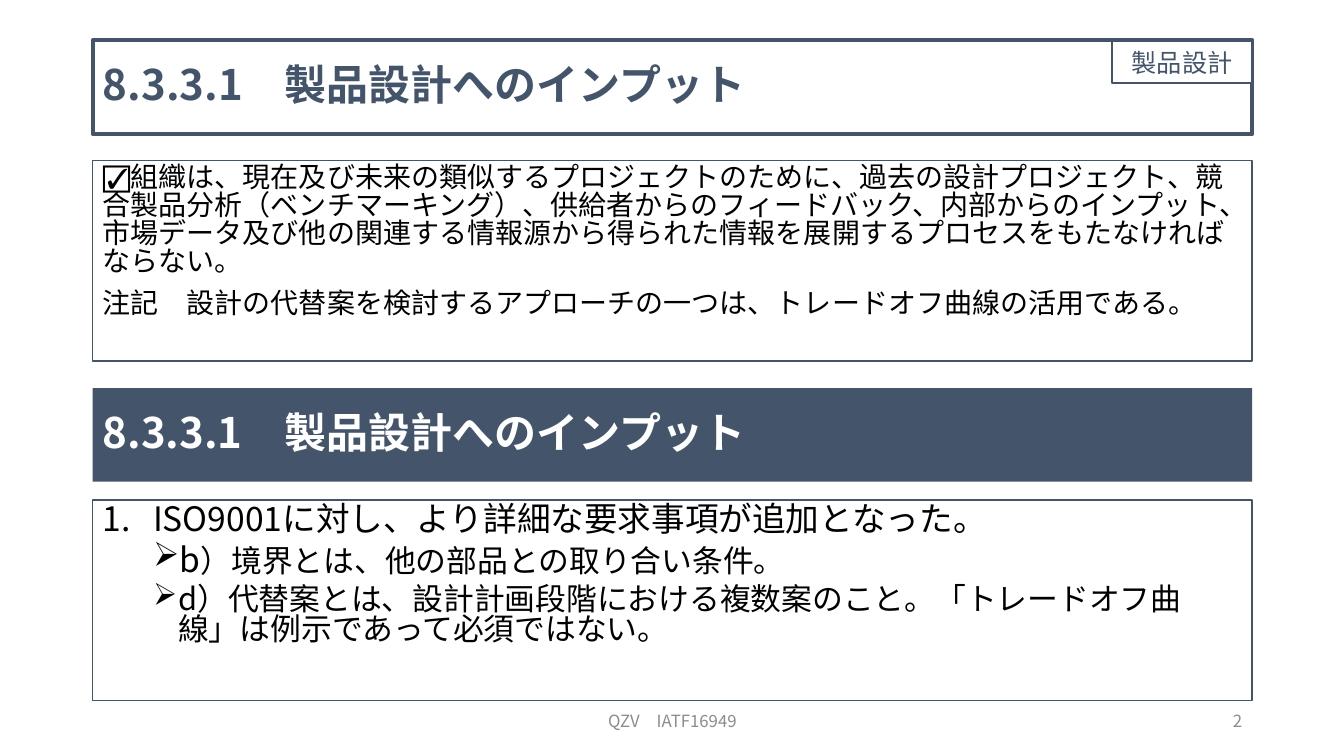
from lxml import etree
from pptx import Presentation
from pptx.dml.color import RGBColor
from pptx.enum.shapes import MSO_SHAPE
from pptx.enum.text import MSO_ANCHOR, MSO_AUTO_SIZE, PP_ALIGN
from pptx.oxml.ns import qn
from pptx.util import Inches, Pt

FONT = "Noto Sans CJK JP"
NAVY = RGBColor(0x44, 0x54, 0x6A)
WHITE = RGBColor(0xFF, 0xFF, 0xFF)
BLACK = RGBColor(0, 0, 0)
GRAY = RGBColor(0x8C, 0x8C, 0x8C)

HEAD = "8.3.3.1\u3000製品設計へのインプット".replace("\u3000", "　")
TAG = "製品設計"
CLAUSE = [
    "☑組織は、現在及び未来の類似するプロジェクトのために、過去の設計プロジェクト、"
    "競合製品分析（ベンチマーキング）、供給者からのフィードバック、内部からのインプット、"
    "市場データ及び他の関連する情報源から得られた情報を展開するプロセスをもたなければならない。",
    "注記　設計の代替案を検討するアプローチの一つは、トレードオフ曲線の活用である。",
]
POINTS = [
    (0, [("ISO9001に対し、より詳細な要求事項が追加となった。", 24)]),
    (1, [("b", 24), ("）境界とは、他の部品との取り合い条件。", 22)]),
    (1, [("d）代替案とは、設計計画段階における複数案のこと。"
          "「トレードオフ曲線」は例示であって必須ではない。", 22)]),
]
LEVELS = [
    (0.5, -0.5, 10, "buAutoNum", {"type": "arabicPeriod"}),
    (0.75, -0.25, 5, "buChar", {"char": "➢"}),
]
FOOT = [
    ("QZV　IATF16949", 4.42, 4.5, PP_ALIGN.CENTER),
    ("2", 9.42, 3, PP_ALIGN.RIGHT),
]

LEFT, WIDTH = 0.92, 11.5
HEAD_H, BODY_H = 0.93, 1.99
TIGHT = 0.83


def style(run, size, color, bold=False):
    """Set the font of one run, for Latin and Japanese text alike."""
    font = run.font
    font.name, font.size, font.bold = FONT, Pt(size), bold
    font.color.rgb = color
    east = etree.SubElement(run._r.get_or_add_rPr(), qn("a:ea"))
    east.set("typeface", FONT)


def place(shape, left, top, width, height):
    """Put a shape at a place given in inches."""
    shape.left, shape.top = Inches(left), Inches(top)
    shape.width, shape.height = Inches(width), Inches(height)


def paint(shape, fill, line, weight):
    """Set fill and outline, where None means none."""
    if fill is None:
        shape.fill.background()
    else:
        shape.fill.solid()
        shape.fill.fore_color.rgb = fill
    if line is None:
        shape.line.fill.background()
    else:
        shape.line.color.rgb = line
        shape.line.width = Pt(weight)


def add_box(slide, area, fill=None, line=None, weight=1):
    """Add a plain rectangle with its text at the top."""
    box = slide.shapes.add_shape(MSO_SHAPE.RECTANGLE, *map(Inches, area))
    box.shadow.inherit = False
    paint(box, fill, line, weight)
    box.text_frame.word_wrap = True
    box.text_frame.vertical_anchor = MSO_ANCHOR.TOP
    return box


def write(shape, text, size, color, align=PP_ALIGN.LEFT, bold=False, space=1.0):
    """Write one centred-in-height line of text into a shape."""
    frame = shape.text_frame
    frame.text = text
    frame.word_wrap = True
    frame.auto_size = MSO_AUTO_SIZE.NONE
    frame.vertical_anchor = MSO_ANCHOR.MIDDLE
    para = frame.paragraphs[0]
    para.alignment = align
    para.line_spacing = space
    style(para.runs[0], size, color, bold)


def add_para(frame, index, before):
    """Return a new left-aligned paragraph of a body box."""
    para = frame.add_paragraph() if index else frame.paragraphs[0]
    para.alignment = PP_ALIGN.LEFT
    para.line_spacing = TIGHT
    para.space_before = Pt(before if index else 0)
    return para


def add_clause(slide):
    """Add the box with the text of the standard."""
    box = add_box(slide, (LEFT, 1.59, WIDTH, BODY_H), line=NAVY)
    for index, text in enumerate(CLAUSE):
        para = add_para(box.text_frame, index, 10)
        para.add_run().text = text
        style(para.runs[0], 20, BLACK)


def add_points(slide):
    """Add the box with the numbered and bulleted remarks."""
    box = add_box(slide, (LEFT, 4.96, WIDTH, BODY_H), line=NAVY)
    for index, (level, parts) in enumerate(POINTS):
        margin, indent, before, mark, attrs = LEVELS[level]
        para = add_para(box.text_frame, index, before)
        para.level = level
        props = para._p.get_or_add_pPr()
        props.set("marL", str(Inches(margin)))
        props.set("indent", str(Inches(indent)))
        etree.SubElement(props, qn("a:" + mark), attrs)
        for text, size in parts:
            run = para.add_run()
            run.text = text
            style(run, size, BLACK)


def main():
    """Build the slide and save it."""
    deck = Presentation()
    deck.slide_width, deck.slide_height = Inches(13.33), Inches(7.5)
    slide = deck.slides.add_slide(deck.slide_layouts[5])

    title = slide.shapes.title
    place(title, LEFT, 0.4, WIDTH, HEAD_H)
    paint(title, WHITE, NAVY, 3)
    write(title, HEAD, 30, NAVY, bold=True, space=0.9)

    add_clause(slide)
    band = add_box(slide, (LEFT, 3.85, WIDTH, HEAD_H), fill=NAVY)
    write(band, HEAD, 30, WHITE, bold=True, space=0.9)
    add_points(slide)

    tag = add_box(slide, (11.03, 0.41, 1.39, 0.41), WHITE, NAVY, 1.5)
    write(tag, TAG, 18, NAVY, PP_ALIGN.CENTER)

    for text, left, width, align in FOOT:
        area = map(Inches, (left, 6.95, width, 0.4))
        write(slide.shapes.add_textbox(*area), text, 12, GRAY, align)

    deck.save("out.pptx")


if __name__ == "__main__":
    main()
